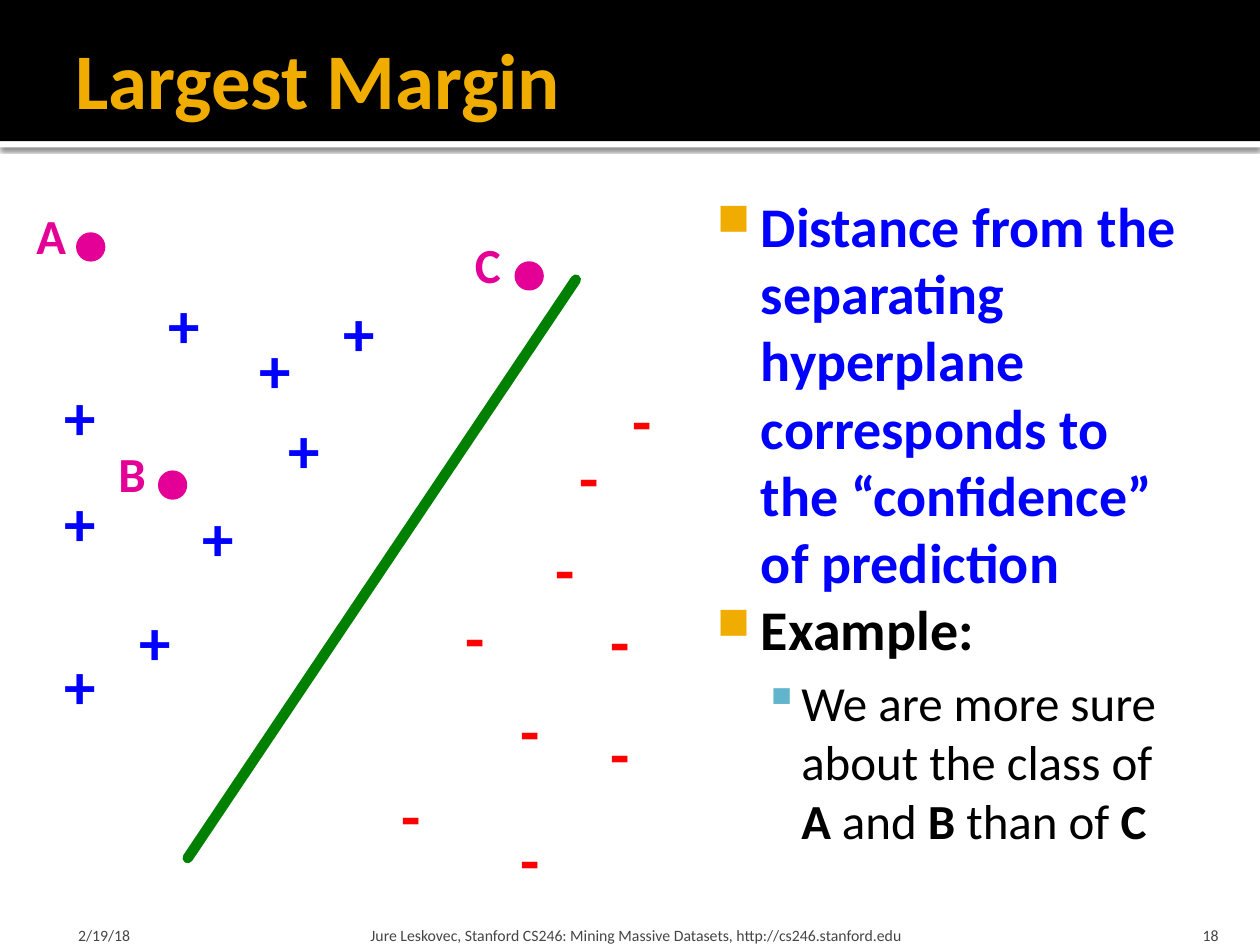
from lxml.etree import SubElement
from pptx import Presentation
from pptx.dml.color import RGBColor
from pptx.enum.shapes import MSO_CONNECTOR as CONN, MSO_SHAPE as SHAPE
from pptx.enum.text import MSO_ANCHOR as ANCHOR, MSO_AUTO_SIZE as AUTO, PP_ALIGN as ALIGN
from pptx.oxml.ns import qn
from pptx.util import Emu, Pt

FONT = "Calibri"
BLACK = RGBColor(0x00, 0x00, 0x00)
WHITE = RGBColor(0xFF, 0xFF, 0xFF)
GOLD = RGBColor(0xF0, 0xAD, 0x00)
TEAL = RGBColor(0x60, 0xB5, 0xCC)
BLUE = RGBColor(0x00, 0x00, 0xFF)
RED = RGBColor(0xFF, 0x00, 0x00)
GREEN = RGBColor(0x00, 0x80, 0x00)
PINK = RGBColor(0xE4, 0x00, 0x96)
GRAY = RGBColor(0x45, 0x45, 0x45)

# Class members and labelled points, relative to the plot box
PLUSES = [(105, 64), (244, 70), (132, 233), (200, 163), (22, 350),
          (22, 221), (22, 137), (82, 315), (177, 99)]
MINUSES = [(431, 185), (341, 312), (412, 258), (384, 386), (290, 453),
           (384, 488), (456, 404), (456, 315), (473, 140)]
POINTS = [("A", 0, 0, 44), ("B", 65, 189, 42), ("C", 348, 23, 41)]


def px(n):
    """100 px to the inch."""
    return Emu(n * 9144)


def add_run(p, text, size, color, bold=False):
    r = p.add_run()
    r.text = text
    f = r.font
    f.name, f.size, f.bold = FONT, Pt(size), bold
    f.color.rgb = color


def set_frame(tf, insets=(10, 5, 10, 5), anchor=ANCHOR.TOP, wrap=True, auto=AUTO.NONE):
    tf.auto_size, tf.word_wrap, tf.vertical_anchor = auto, wrap, anchor
    tf.margin_left, tf.margin_top, tf.margin_right, tf.margin_bottom = map(px, insets)


def add_text(slide, box):
    return slide.shapes.add_textbox(*map(px, box)).text_frame


def add_solid(slide, kind, box, color):
    sp = slide.shapes.add_shape(kind, *map(px, box))
    sp.shadow.inherit = False
    sp.fill.solid()
    sp.fill.fore_color.rgb = color
    sp.line.fill.background()
    return sp


def add_label(slide, box, text, size, color):
    tf = add_text(slide, box)
    set_frame(tf, wrap=False, auto=AUTO.SHAPE_TO_FIT_TEXT)
    add_run(tf.paragraphs[0], text, size, color, True)


def add_header(slide, x, y, w, h):
    # White rule with a soft shadow under the black band
    rule = add_solid(slide, SHAPE.RECTANGLE, (x, y + h, w, 5), WHITE)
    effects = rule._element.spPr.find(qn("a:effectLst"))
    shadow = SubElement(effects, qn("a:outerShdw"), blurRad=str(Pt(2.5)),
                        dist=str(Pt(0.8)), dir="5400000", rotWithShape="0")
    clr = SubElement(shadow, qn("a:srgbClr"), val=str(BLACK))
    SubElement(clr, qn("a:alpha"), val="60000")
    add_solid(slide, SHAPE.RECTANGLE, (x, y, w, h), BLACK)

    # Title, brought in front of the band
    title = slide.shapes.title
    title.left, title.top, title.width, title.height = map(px, (x + 50, y + 8, w - 100, 108))
    slide.shapes._spTree.append(title._element)
    tf = title.text_frame
    set_frame(tf, (10, 5, 5, 5), ANCHOR.MIDDLE)
    p = tf.paragraphs[0]
    p.alignment = ALIGN.LEFT
    add_run(p, "Largest Margin", 45, GOLD, True)


def add_plot(slide, x, y):
    # Separating hyperplane
    ends = (x + 130, y + 523, x + 438, y + 64)
    cxn = slide.shapes.add_connector(CONN.STRAIGHT, *map(px, ends))
    cxn.line.color.rgb = GREEN
    cxn.line.width = Pt(6)
    cxn.line._get_or_add_ln().set("cap", "rnd")
    SubElement(cxn._element.spPr, qn("a:effectLst"))

    # Two classes
    for sign, color, width, spots in (("+", BLUE, 45, PLUSES), ("-", RED, 36, MINUSES)):
        for dx, dy in spots:
            add_label(slide, (x + dx, y + dy, width, 71), sign, 36, color)

    # Labelled points
    for name, dx, dy, width in POINTS:
        add_label(slide, (x + dx, y + dy, width, 57), name, 28, PINK)
        dot = add_solid(slide, SHAPE.OVAL, (x + dx + 44, y + dy + 29, 18, 18), PINK)
        dot.line.color.rgb = PINK
        dot.line.width = Pt(3.78)


def set_bullet(p, char, color, left, hang, percent=100):
    pPr = p._p.get_or_add_pPr()
    pPr.set("marL", str(px(left)))
    pPr.set("indent", str(px(-hang)))
    clr = SubElement(pPr, qn("a:buClr"))
    SubElement(clr, qn("a:srgbClr"), val=str(color))
    SubElement(pPr, qn("a:buSzPct"), val=str(percent * 1000))
    SubElement(pPr, qn("a:buChar"), char=char)


def add_notes(slide, box):
    tf = add_text(slide, box)
    set_frame(tf, (6, 10, 10, 5))

    p = tf.paragraphs[0]
    set_bullet(p, "■", GOLD, 48, 35, 80)
    add_run(p, "Distance from the separating hyperplane corresponds to the “confidence”",
            32, BLUE, True)
    p.add_line_break()
    add_run(p, "of prediction", 32, BLUE, True)

    p = tf.add_paragraph()
    set_bullet(p, "■", GOLD, 48, 35, 80)
    add_run(p, "Example:", 32, BLACK, True)

    p = tf.add_paragraph()
    p.level = 1
    p.space_before = Pt(6)
    set_bullet(p, "▪", TEAL, 80, 30)
    for text, bold in (("We are more sure about the class of ", False), ("A", True),
                       (" and ", False), ("B ", True), ("than of ", False), ("C", True)):
        add_run(p, text, 28, BLACK, bold)


def add_footer(slide, y, h):
    for x, w, left, right, align, text in (
        (50, 233, 12, 5, ALIGN.LEFT, "2/19/18"),
        (289, 602, 5, 5, ALIGN.LEFT,
         "Jure Leskovec, Stanford CS246: Mining Massive Datasets, http://cs246.stanford.edu"),
        (897, 80, 10, 10, ALIGN.RIGHT, "18"),
    ):
        tf = add_text(slide, (x, y, w, h))
        set_frame(tf, (left, 5, right, 0), ANCHOR.BOTTOM)
        p = tf.paragraphs[0]
        p.alignment = align
        add_run(p, text, 9, GRAY)


def main():
    prs = Presentation()
    prs.slide_width, prs.slide_height = px(1000), px(750)
    slide = prs.slides.add_slide(prs.slide_layouts[5])
    add_header(slide, 0, 0, 1000, 112)
    add_plot(slide, 19, 158)
    add_notes(slide, (550, 142, 400, 575))
    add_footer(slide, 720, 30)
    prs.save("out.pptx")


if __name__ == "__main__":
    main()
